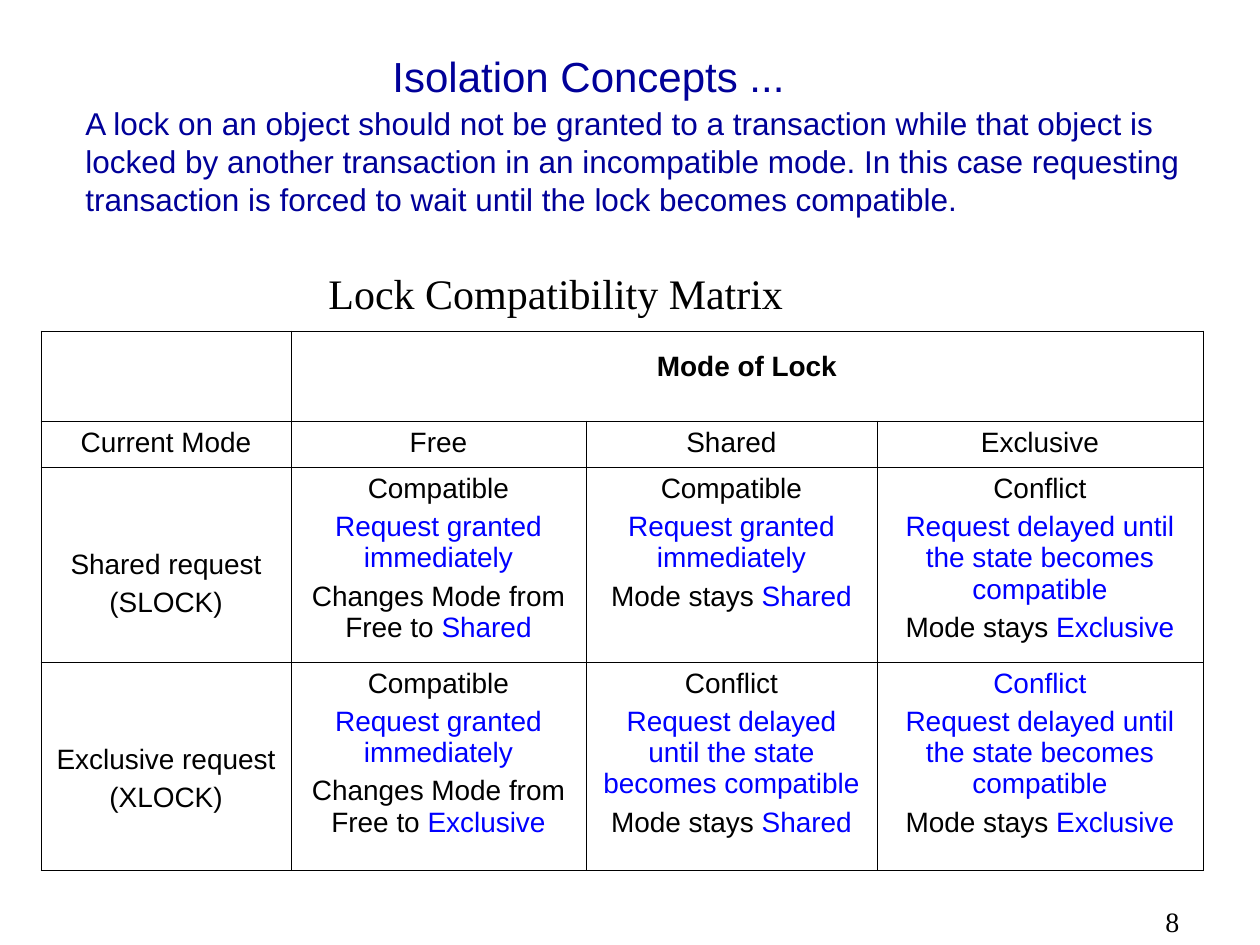
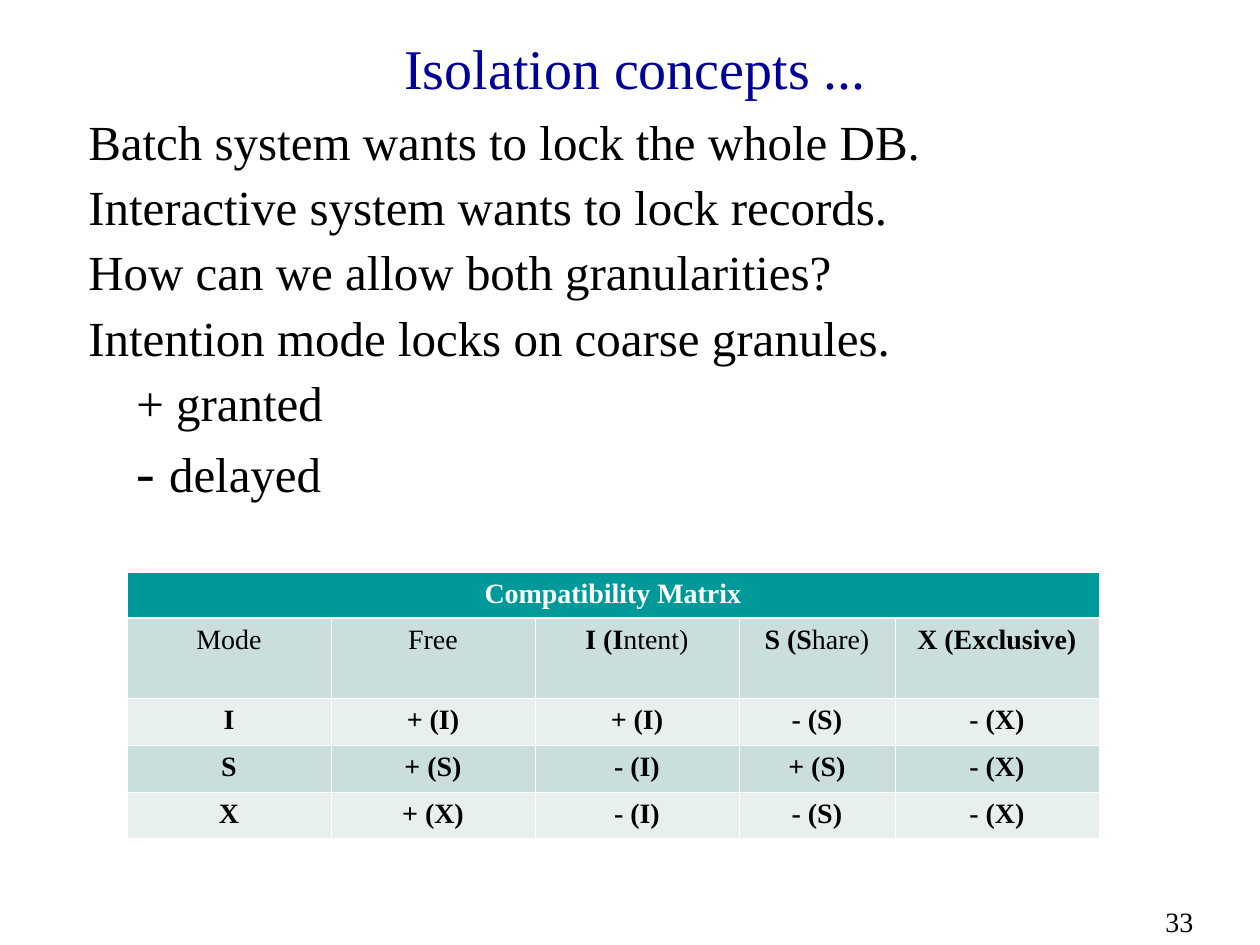
from itertools import zip_longest
from lxml.etree import SubElement
from pptx import Presentation
from pptx.dml.color import RGBColor
from pptx.enum.text import MSO_ANCHOR, PP_ALIGN
from pptx.oxml.ns import qn
from pptx.util import Pt

SANS, SERIF = "Arial", "Times New Roman"
NAVY, BLACK, WHITE = "000099", "000000", "FFFFFF"
TEAL, PALE, MIST = "009999", "CBDEDE", "E7EFEF"
BLUE = {"tone": "0000FF"}
BOLD = {"bold": True}
SCALE = 914400 / 126

RULE = (
    "A lock on an object should not be granted to a transaction while that "
    "object is locked by another transaction in an incompatible mode. In this "
    "case requesting transaction is forced to wait until the lock becomes "
    "compatible."
)
GRANT = [("Request granted immediately", BLUE)]
DELAY = [("Request delayed until the state becomes compatible", BLUE)]


def stay(mode):
    return [("Mode stays ", {}), (mode, BLUE)]


def change(mode):
    return [("Changes Mode from Free to ", {}), (mode, BLUE)]


LOCKS = [
    [[], [[("Mode of Lock", BOLD)]], [], []],
    [["Current Mode"], ["Free"], ["Shared"], ["Exclusive"]],
    [
        ["Shared request", "(SLOCK)"],
        ["Compatible", GRANT, change("Shared")],
        ["Compatible", GRANT, stay("Shared")],
        ["Conflict", DELAY, stay("Exclusive")],
    ],
    [
        ["Exclusive request", "(XLOCK)"],
        ["Compatible", GRANT, change("Exclusive")],
        ["Conflict", DELAY, stay("Shared")],
        [[("Conflict", BLUE)], DELAY, stay("Exclusive")],
    ],
]
POINTS = [
    "Batch system wants to lock the whole DB.",
    "Interactive system wants to lock records.",
    "How can we allow both granularities?",
    "Intention mode locks on coarse granules.",
    "+ granted",
    [("- ", {"size": 32}), ("delayed", {})],
]
PADS = [0, 0, 0, 0, 48, 48]
HEADS = [
    "Mode",
    "Free",
    [("I (I", BOLD), ("ntent)", {})],
    [("S (S", BOLD), ("hare)", {})],
    [("X (Exclusive)", BOLD)],
]
MODES = [
    ["I", "+ (I)", "+ (I)", "- (S)", "- (X)"],
    ["S", "+ (S)", "- (I)", "+ (S)", "- (X)"],
    ["X", "+ (X)", "- (I)", "- (S)", "- (X)"],
]


def px(size):
    return round(size * SCALE)


def ink(tone):
    return RGBColor.from_string(tone)


def put(frame, paras, size=16, face=SERIF, tone=BLACK, bold=False,
        align=PP_ALIGN.LEFT, gap=0, line=None, pads=()):
    frame.word_wrap = True
    for pos, (runs, pad) in enumerate(zip_longest(paras, pads, fillvalue=0)):
        para = frame.add_paragraph() if pos else frame.paragraphs[0]
        para.alignment = align
        para.line_spacing = line
        if pos:
            para.space_before = Pt(gap)
        if pad:
            para._p.get_or_add_pPr().set("marL", str(px(pad)))
        for text, own in [(runs, {})] if isinstance(runs, str) else runs:
            run = para.add_run()
            run.text = text
            look = {"size": size, "tone": tone, "bold": bold, **own}
            run.font.name = face
            run.font.size = Pt(look["size"])
            run.font.bold = look["bold"]
            run.font.color.rgb = ink(look["tone"])


def box(slide, place, paras, mid=False, **look):
    frame = slide.shapes.add_textbox(*map(px, place)).text_frame
    if mid:
        frame.vertical_anchor = MSO_ANCHOR.MIDDLE
    put(frame, paras, **look)


def start(deck, title, place, page, **look):
    slide = deck.slides.add_slide(deck.slide_layouts[6])
    box(slide, (1153, 898, 107, 47), [page])
    box(slide, place, [title], mid=True, tone=NAVY, align=PP_ALIGN.CENTER, **look)
    return slide


def edge(cell, tone, **wide):
    props = cell._tc.get_or_add_tcPr()
    for pos, side in enumerate("LRTB"):
        line = SubElement(props, qn("a:ln" + side), w=str(Pt(wide.get(side, 0.45))))
        fill = SubElement(line, qn("a:solidFill"))
        SubElement(fill, qn("a:srgbClr"), val=tone)
        props.insert(pos, line)


def grid(slide, left, top, cols, rows):
    table = slide.shapes.add_table(
        len(rows), len(cols), px(left), px(top), px(sum(cols)), px(sum(rows))
    ).table
    table.first_row = table.horz_banding = False
    for col, wide in zip(table.columns, cols):
        col.width = px(wide)
    for row, high in zip(table.rows, rows):
        row.height = px(high)
    return table


def locks(deck):
    slide = start(deck, "Isolation Concepts ...", (145, 44, 887, 63), "8",
                  face=SANS, size=24)
    box(slide, (73, 98, 1162, 126), [RULE], face=SANS, size=18, tone=NAVY)
    box(slide, (316, 261, 499, 63), ["Lock Compatibility Matrix"], size=24)
    table = grid(slide, 41, 331, [250, 295, 291, 326], [90, 46, 195, 208])
    table.cell(0, 1).merge(table.cell(0, 3))
    for r, row in enumerate(LOCKS):
        for c, paras in enumerate(row):
            cell = table.cell(r, c)
            cell.fill.background()
            edge(cell, BLACK)
            if c == 0 and r > 1:
                cell.margin_top = px(82)
            put(cell.text_frame, paras, face=SANS, align=PP_ALIGN.CENTER,
                gap=4, line=None if r else 1.45)


def modes(deck):
    slide = start(deck, "Isolation concepts ...", (100, 24, 1071, 87), "33", size=32)
    box(slide, (76, 112, 1071, 411), POINTS, size=28, gap=7, line=0.9, pads=PADS)
    table = grid(slide, 127, 572, [204, 204, 204, 156, 204], [46, 80, 47, 47, 46])
    table.cell(0, 0).merge(table.cell(0, 4))
    title = ["Compatibility Matrix"] + [""] * 4
    for r, row in enumerate([title, HEADS, *MODES]):
        for c, text in enumerate(row):
            cell = table.cell(r, c)
            cell.fill.solid()
            cell.fill.fore_color.rgb = ink((PALE if r % 2 else MIST) if r else TEAL)
            edge(cell, WHITE, **{0: {"B": 1.47}, 1: {"T": 1.47}}.get(r, {}))
            put(cell.text_frame, [text] if text else [], bold=r != 1,
                tone=BLACK if r else WHITE, align=PP_ALIGN.CENTER)


def main():
    deck = Presentation()
    deck.slide_width, deck.slide_height = px(1260), px(945)
    locks(deck)
    modes(deck)
    deck.save("out.pptx")


if __name__ == "__main__":
    main()
